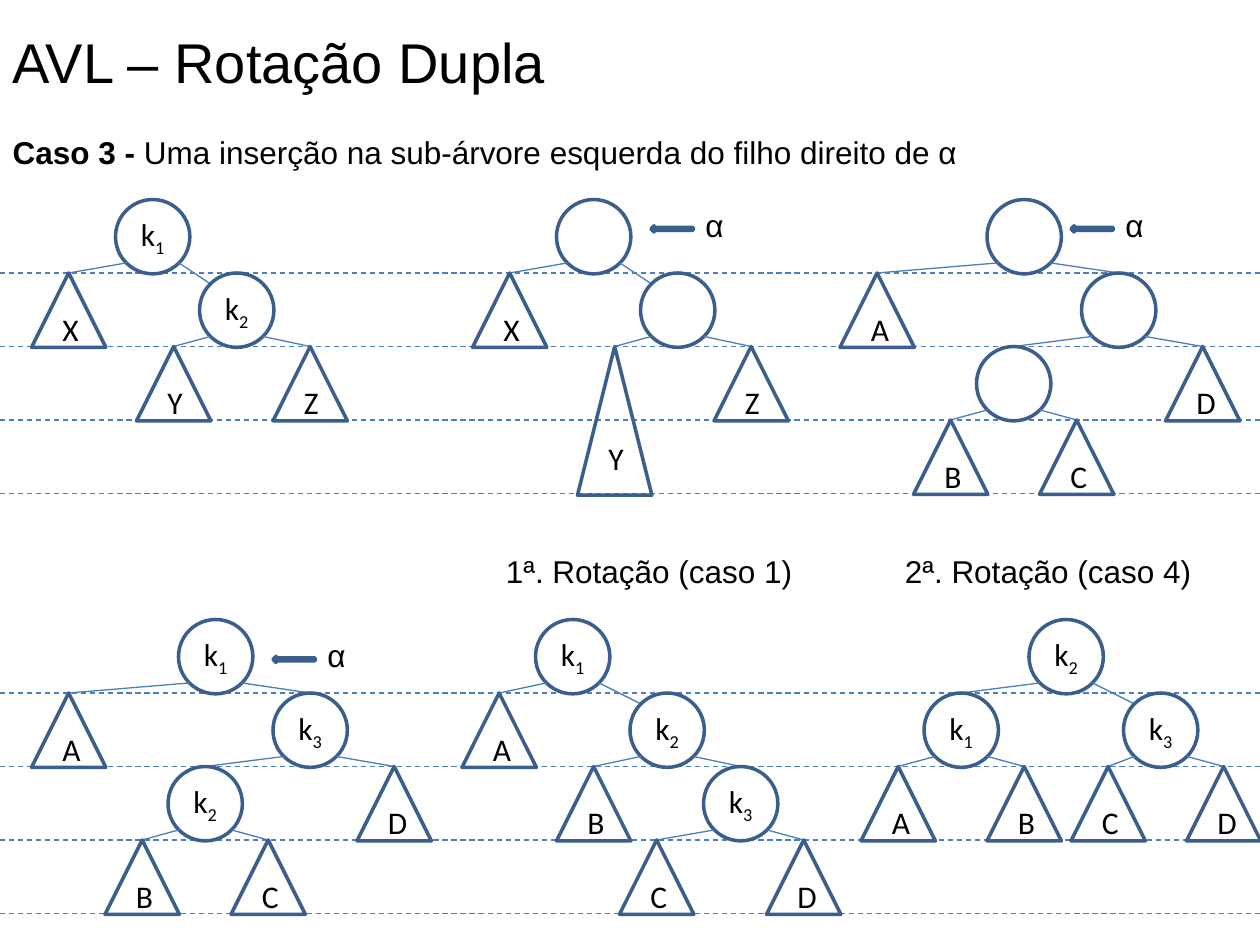
import pptx
import pptx.dml.color
import pptx.enum.dml
import pptx.enum.shapes
import pptx.enum.text
import pptx.oxml
import pptx.util

SHAPE = pptx.enum.shapes.MSO_SHAPE
ANCHOR = pptx.enum.text.MSO_ANCHOR
ALIGN = pptx.enum.text.PP_ALIGN

WIDTH, HEIGHT = 10, 7.5
COLUMNS, ROWS = 120, 90
UNIT = WIDTH / COLUMNS
NODE = 0.59 / UNIT
LEVEL = 7
DIAGONAL = 0.5 ** 0.5 / 2
OUTLINE, EDGE, ARROW, BLACK = "3A5F8C", "4B7EBC", "4F81BD", "000000"

TITLE = [("AVL – Rotação Dupla", False)]
CASE = [("Caso 3 - ", True),
        ("Uma inserção na sub-árvore esquerda do filho direito de α", False)]
CAPTIONS = [("1ª. Rotação (caso 1)", 47), ("2ª. Rotação (caso 4)", 85)]
CAPTION_ROW = 52
BANDS = [19, 59]
POINTERS = [(62, 19), (102, 19), (26, 60)]
TALL = {("Y", 55)}

# Each node is (label, column, children); each tree is (row, right edge meets the corner, root).
TREES = [
    (19, True, ("k1", 11, [("X", 3, []),
                           ("k2", 19, [("Y", 13, []), ("Z", 26, [])])])),
    (19, True, ("", 53, [("X", 45, []),
                         ("", 61, [("Y", 55, []), ("Z", 68, [])])])),
    (19, False, ("", 94, [("A", 80, []),
                          ("", 103, [("", 93, [("B", 87, []), ("C", 99, [])]),
                                     ("D", 111, [])])])),
    (59, False, ("k1", 17, [("A", 3, []),
                            ("k3", 26, [("k2", 16, [("B", 10, []), ("C", 22, [])]),
                                        ("D", 34, [])])])),
    (59, True, ("k1", 51, [("A", 44, []),
                           ("k2", 60, [("B", 53, []),
                                       ("k3", 67, [("C", 59, []), ("D", 73, [])])])])),
    (59, True, ("k2", 98, [("k1", 88, [("A", 82, []), ("B", 94, [])]),
                           ("k3", 107, [("C", 102, []), ("D", 113, [])])])),
]


def grid(*units):
    """Turn grid units into lengths."""
    return [pptx.util.Inches(unit * UNIT) for unit in units]


def color(value):
    """Turn a hex string into a colour."""
    return pptx.dml.color.RGBColor.from_string(value)


def write(box, runs, size=18, font="Arial", align=ALIGN.LEFT, anchor=ANCHOR.TOP,
          wrap=True, grow=False, subscript=False):
    """Write (text, bold) runs as one paragraph, lowering the later ones on request."""
    frame = box.text_frame
    frame.word_wrap = wrap
    frame.vertical_anchor = anchor
    if grow:
        frame.auto_size = pptx.enum.text.MSO_AUTO_SIZE.SHAPE_TO_FIT_TEXT
    para = frame.paragraphs[0]
    para.alignment = align
    para.space_before = pptx.util.Pt(0)
    for index, (text, bold) in enumerate(runs):
        span = para.add_run()
        span.text = text
        span.font.size = pptx.util.Pt(size)
        span.font.name = font
        span.font.bold = bold
        span.font.color.rgb = color(BLACK)
        if subscript and index:
            span._r.get_or_add_rPr().set("baseline", "-25000")
    return para


def place(box, left, top, width, height):
    """Move a placeholder to a place on the grid."""
    box.left, box.top, box.width, box.height = grid(left, top, width, height)


def add_label(page, text, left, top, width):
    """Add a one-line text box."""
    box = page.shapes.add_textbox(*grid(left, top, width, 4.8))
    write(box, [(text, False)], wrap=False, grow=True)


def add_line(page, start, end, dashed=False):
    """Add a thin straight line."""
    line = page.shapes.add_connector(
        pptx.enum.shapes.MSO_CONNECTOR.STRAIGHT, *grid(*start, *end))
    line.line.color.rgb = color(EDGE)
    line.line.width = pptx.util.Pt(0.75)
    if dashed:
        line.line.dash_style = pptx.enum.dml.MSO_LINE.DASH
    effects = pptx.oxml.ns.qn("a:effectLst")
    line._element.spPr.append(line._element.makeelement(effects, {}))


def add_shape(page, kind, place_on_grid, fill=None):
    """Add an outlined shape, hollow unless a fill is given."""
    shape = page.shapes.add_shape(kind, *grid(*place_on_grid))
    shape.shadow.inherit = False
    shape.line.color.rgb = color(OUTLINE)
    shape.line.width = pptx.util.Pt(2)
    if fill:
        shape.fill.solid()
        shape.fill.fore_color.rgb = color(fill)
    else:
        shape.fill.background()
    return shape


def add_tree(page, node, top, corner=False):
    """Draw a node, the edges below it and its subtrees."""
    label, left, children = node
    kind = SHAPE.OVAL if children else SHAPE.ISOSCELES_TRIANGLE
    height = NODE * (2 if (label, left) in TALL else 1)
    shape = add_shape(page, kind, (left, top, NODE, height))
    if label:
        runs = [(part, False) for part in label]
        write(shape, runs, font="Calibri", align=ALIGN.CENTER,
              anchor=ANCHOR.MIDDLE, subscript=True)
    for side, child in zip((-1, 1), children):
        start = (left + NODE * (0.5 + side * DIAGONAL), top + NODE * (0.5 + DIAGONAL))
        end = (child[1] + NODE / 2, top + LEVEL)
        if corner and side == 1:
            inset = NODE * (0.5 - DIAGONAL)
            end = (child[1] + inset, top + LEVEL + inset)
        add_line(page, start, end)
        add_tree(page, child, top + LEVEL)


def main():
    """Build the slide and save it."""
    deck = pptx.Presentation()
    deck.slide_width = pptx.util.Inches(WIDTH)
    deck.slide_height = pptx.util.Inches(HEIGHT)
    page = deck.slides.add_slide(deck.slide_layouts[1])

    title, body = page.placeholders
    place(title, 0, 2, 53.5, 7.7)
    write(title, TITLE, size=32, wrap=False, grow=True)
    place(body, 0, 12.1, 118, 4.8)
    para = write(body, CASE, grow=True)
    properties = para._p.get_or_add_pPr()
    properties.set("marL", "0")
    properties.set("indent", "0")
    properties.append(properties.makeelement(pptx.oxml.ns.qn("a:buNone"), {}))

    for band in BANDS:
        for level in range(1, 5):
            row = band + level * LEVEL
            add_line(page, (0, row), (COLUMNS, row), dashed=True)
    for top, corner, root in TREES:
        add_tree(page, root, top, corner)
    for left, top in POINTERS:
        add_shape(page, SHAPE.LEFT_ARROW, (left, top + 2.5, 4, 0.6), fill=ARROW)
        add_label(page, "α", left + 4, top, 4.2)
    for text, left in CAPTIONS:
        add_label(page, text, left, CAPTION_ROW, 30)

    deck.save("out.pptx")


if __name__ == "__main__":
    main()
